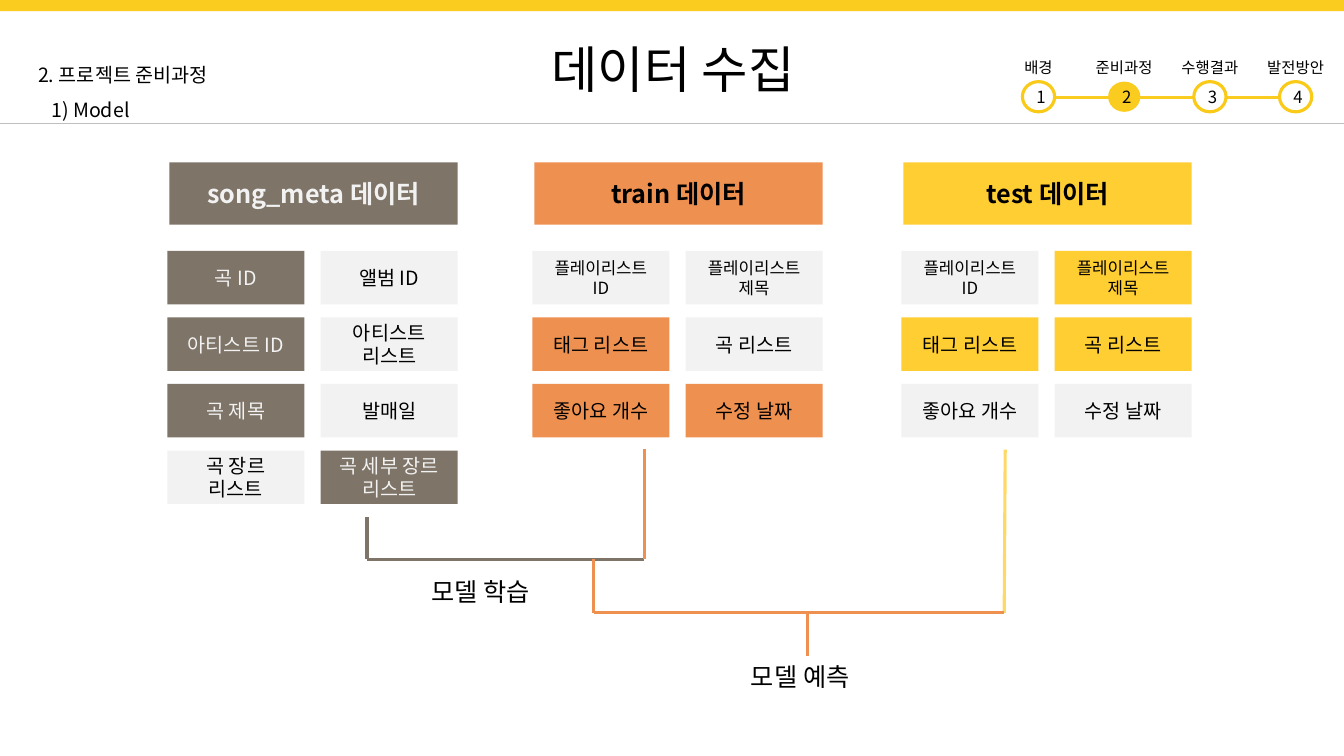
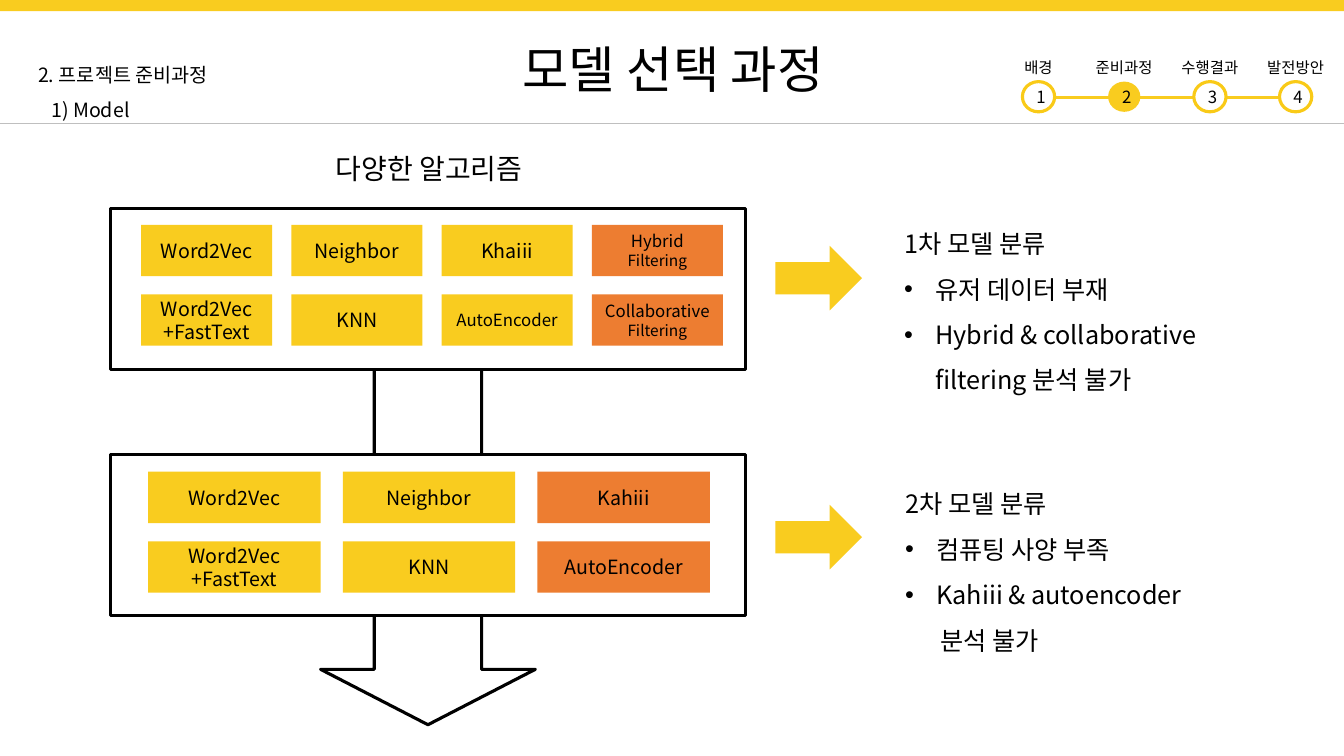
from lxml.etree import SubElement
from pptx import Presentation
from pptx.dml.color import RGBColor
from pptx.enum.shapes import MSO_CONNECTOR, MSO_SHAPE as Shape
from pptx.enum.text import MSO_ANCHOR as Anchor, MSO_AUTO_SIZE, PP_ALIGN as Align
from pptx.oxml.ns import qn
from pptx.util import Inches, Pt

FONT = "Noto Sans CJK KR"
BLACK, WHITE, PALE, RULE = "000000", "FFFFFF", "F2F2F2", "BFBFBF"
YELLOW, RING, ORANGE = "F9CC1F", "F9CA17", "ED7D31"
BROWN, TRAIN, TEST, TEST_LINE = "7E7468", "EE9050", "FFCE33", "FFD966"

STEPS = ["배경", "준비과정", "수행결과", "발전방안"]
CURRENT_STEP = 2

# Each dataset: left, heading, fill, text colour on that fill, rows of (text, size, used)
DATASETS = [
    (1.66, "song_meta 데이터", BROWN, PALE, [
        [("곡 ID", 14, True), ("앨범 ID", 14, False)],
        [("아티스트 ID", 14, True), ("아티스트\n리스트", 14, False)],
        [("곡 제목", 14, True), ("발매일", 14, False)],
        [("곡 장르\n리스트", 14, False), ("곡 세부 장르\n리스트", 14, True)],
    ]),
    (5.28, "train 데이터", TRAIN, BLACK, [
        [("플레이리스트\nID", 12, False), ("플레이리스트\n제목", 12, False)],
        [("태그 리스트", 14, True), ("곡 리스트", 14, False)],
        [("좋아요 개수", 14, True), ("수정 날짜", 14, True)],
    ]),
    (8.94, "test 데이터", TEST, BLACK, [
        [("플레이리스트\nID", 12, False), ("플레이리스트\n제목", 12, True)],
        [("태그 리스트", 14, True), ("곡 리스트", 14, True)],
        [("좋아요 개수", 14, False), ("수정 날짜", 14, False)],
    ]),
]

FLOW_LINES = [
    (3.64, 5.13, 3.64, 5.55, BROWN),
    (3.64, 5.55, 6.39, 5.55, BROWN),
    (6.39, 4.45, 6.39, 5.55, TRAIN),
    (5.89, 5.55, 5.89, 6.08, TRAIN),
    (9.97, 4.46, 9.96, 6.08, TEST_LINE),
    (5.89, 6.08, 9.96, 6.08, TRAIN),
    (8.01, 6.08, 8.01, 6.51, TRAIN),
]


def color(hex_code):
    return RGBColor.from_string(hex_code)


def lines(text, size):
    """Turn each line of text into a paragraph of one run."""
    return [[(line, size)] for line in text.split("\n")]


def write(frame, paragraphs, ink=BLACK, bold=False, align=Align.CENTER, spacing=None):
    """Fill a text frame from paragraphs, each a list of (text, size) runs."""
    frame.word_wrap = True
    for index, runs in enumerate(paragraphs):
        paragraph = frame.paragraphs[0] if index == 0 else frame.add_paragraph()
        paragraph.alignment = align
        if spacing:
            paragraph.line_spacing = spacing
        for text, size in runs:
            run = paragraph.add_run()
            run.text = text
            run.font.name = FONT
            run.font.size = Pt(size)
            run.font.bold = bold
            run.font.color.rgb = color(ink)
            east_asian = SubElement(run.font._element, qn("a:ea"))
            east_asian.set("typeface", FONT)


def indent(paragraph, left, bullet=False):
    properties = paragraph._p.get_or_add_pPr()
    properties.set("marL", str(Inches(left)))
    if bullet:
        properties.set("indent", str(-Inches(left)))
        SubElement(properties, qn("a:buFont")).set("typeface", "Arial")
        SubElement(properties, qn("a:buChar")).set("char", "•")


def add_block(shapes, kind, left, top, width, height, fill=None, outline=None):
    block = shapes.add_shape(kind, Inches(left), Inches(top), Inches(width), Inches(height))
    block.shadow.inherit = False
    if fill:
        block.fill.solid()
        block.fill.fore_color.rgb = color(fill)
    else:
        block.fill.background()
    if outline:
        block.line.color.rgb = color(outline)
        block.line.width = Pt(2.25)
    else:
        block.line.fill.background()
    return block


def add_card(shapes, left, top, width, height, fill, paragraphs, ink=BLACK, bold=False):
    card = add_block(shapes, Shape.RECTANGLE, left, top, width, height, fill)
    card.text_frame.vertical_anchor = Anchor.MIDDLE
    write(card.text_frame, paragraphs, ink, bold)


def add_text(shapes, left, top, width, height, paragraphs, align=Align.LEFT, spacing=None):
    box = shapes.add_textbox(Inches(left), Inches(top), Inches(width), Inches(height))
    write(box.text_frame, paragraphs, align=align, spacing=spacing)
    return box.text_frame.paragraphs


def add_line(shapes, x1, y1, x2, y2, ink, weight=2.25):
    line = shapes.add_connector(
        MSO_CONNECTOR.STRAIGHT, Inches(x1), Inches(y1), Inches(x2), Inches(y2))
    line.line.color.rgb = color(ink)
    line.line.width = Pt(weight)
    SubElement(line._element.spPr, qn("a:effectLst"))


def add_step_tracker(slide):
    tracker = slide.shapes.add_group_shape().shapes
    first, pitch, width, height = 10.14, 0.85, 0.32, 0.3
    add_line(tracker, first + width / 2, 0.97, first + 3 * pitch + width / 2, 0.97, YELLOW)
    for index, label in enumerate(STEPS):
        left = first + index * pitch
        current = index + 1 == CURRENT_STEP
        circle = add_block(tracker, Shape.OVAL, left, 0.81, width, height,
                           YELLOW if current else WHITE, None if current else RING)
        frame = circle.text_frame
        frame.margin_left = Inches(0.05)
        frame.margin_right = frame.margin_top = frame.margin_bottom = 0
        frame.vertical_anchor = Anchor.MIDDLE
        write(frame, lines(str(index + 1), 12))
        add_text(tracker, left + width / 2 - 0.43, 0.53, 0.86, 0.29,
                 lines(label, 11), Align.CENTER)


def add_framed_slide(deck, heading):
    """Add a slide with the shared band, rule, title, section label and tracker."""
    slide = deck.slides.add_slide(deck.slide_layouts[5])
    title = slide.shapes.title
    title.left, title.top = Inches(3.87), Inches(0.32)
    title.width, title.height = Inches(5.61), Inches(0.71)
    title.text_frame.auto_size = MSO_AUTO_SIZE.NONE
    title.text_frame.vertical_anchor = Anchor.MIDDLE
    write(title.text_frame, lines(heading, 36))

    add_block(slide.shapes, Shape.RECTANGLE, 0, 0, 13.33, 0.11, YELLOW)
    add_line(slide.shapes, 0, 1.22, 13.33, 1.22, RULE, 0.5)
    section = add_text(slide.shapes, 0.28, 0.46, 2.4, 0.76,
                       lines("2. 프로젝트 준비과정\n1) Model", 14), spacing=1.5)
    indent(section[1], 0.13)
    add_step_tracker(slide)
    return slide


def add_dataset(slide, left, heading, fill, ink, rows):
    add_card(slide.shapes, left + 0.02, 1.61, 2.86, 0.62, fill, lines(heading, 18), ink, True)
    for row, fields in enumerate(rows):
        for column, (text, size, used) in enumerate(fields):
            add_card(slide.shapes, left + column * 1.52, 2.49 + row * 0.66, 1.36, 0.53,
                     fill if used else PALE, lines(text, size), ink if used else BLACK)


def add_algorithms(slide, left, top, pitch, width, rows):
    """Place a grid of algorithm cards given as (paragraphs, fill)."""
    for row, algorithms in enumerate(rows):
        for column, (paragraphs, fill) in enumerate(algorithms):
            add_card(slide.shapes, left + column * pitch, top + row * 0.69, width, 0.51,
                     fill, paragraphs)


def add_findings(slide, left, top, text, bullets):
    """Write a heading, then bullets; any lines after those continue the last one."""
    heading, *items = add_text(slide.shapes, left, top, 3.63, 1.9, lines(text, 18), spacing=1.5)
    for index, item in enumerate(items):
        bulleted = index < bullets
        indent(item, 0.31 if bulleted else 0.35, bulleted)


def build_data_slide(deck):
    slide = add_framed_slide(deck, "데이터 수집")
    for dataset in DATASETS:
        add_dataset(slide, *dataset)
    for flow_line in FLOW_LINES:
        add_line(slide.shapes, *flow_line)
    add_text(slide.shapes, 4.18, 5.67, 1.38, 0.41, lines("모델 학습", 18))
    add_text(slide.shapes, 7.35, 6.51, 1.38, 0.41, lines("모델 예측", 18))


def build_model_slide(deck):
    slide = add_framed_slide(deck, "모델 선택 과정")
    shapes = slide.shapes
    funnel = add_block(shapes, Shape.DOWN_ARROW, 3.18, 3.08, 2.13, 4.11, outline=BLACK)
    funnel.adjustments[0], funnel.adjustments[1] = 0.5, 0.258
    for stage_top, arrow_top in ((2.07, 2.44), (4.51, 5.01)):
        add_block(shapes, Shape.RECTANGLE, 1.1, stage_top, 6.29, 1.6, WHITE, BLACK)
        add_block(shapes, Shape.RIGHT_ARROW, 7.69, arrow_top, 0.86, 0.64, YELLOW)
    add_text(shapes, 3.23, 1.45, 2.46, 0.44, lines("다양한 알고리즘", 20))

    kept = [
        [(lines("Word2Vec", 14), YELLOW), (lines("Neighbor", 14), YELLOW)],
        [(lines("Word2Vec +FastText", 14), YELLOW), (lines("KNN", 14), YELLOW)],
    ]
    hybrid = [[("Hybrid ", 12), ("Filtering", 11)]]
    collaborative = [[("Collaborative", 12)], [("Filtering", 11)]]
    add_algorithms(slide, 1.4, 2.23, 1.49, 1.3, [
        kept[0] + [(lines("Khaiii", 14), YELLOW), (hybrid, ORANGE)],
        kept[1] + [(lines("AutoEncoder", 12), YELLOW), (collaborative, ORANGE)],
    ])
    add_algorithms(slide, 1.47, 4.68, 1.93, 1.71, [
        kept[0] + [(lines("Kahiii", 14), ORANGE)],
        kept[1] + [(lines("AutoEncoder", 14), ORANGE)],
    ])
    add_findings(slide, 8.87, 2.07,
                 "1차 모델 분류\n유저 데이터 부재\n"
                 "Hybrid & collaborative filtering 분석 불가", 2)
    add_findings(slide, 8.88, 4.65,
                 "2차 모델 분류\n컴퓨팅 사양 부족\nKahiii & autoencoder\n분석 불가", 2)


def main():
    deck = Presentation()
    deck.slide_width, deck.slide_height = Inches(13.33), Inches(7.5)
    build_data_slide(deck)
    build_model_slide(deck)
    deck.save("out.pptx")


if __name__ == "__main__":
    main()
